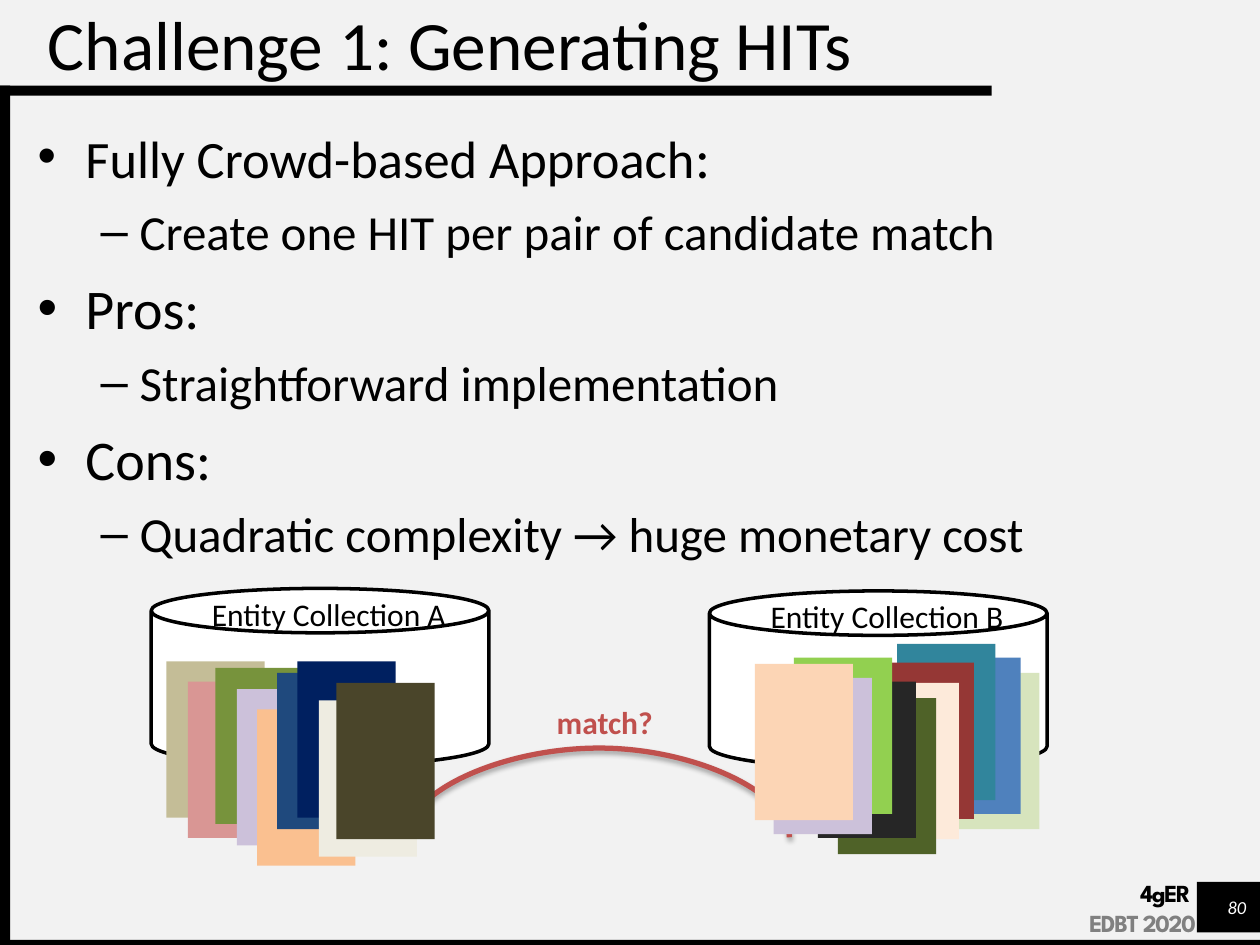
from dataclasses import dataclass

from lxml.etree import SubElement
from pptx import Presentation
from pptx.dml.color import RGBColor
from pptx.enum.shapes import MSO_CONNECTOR as Connector, MSO_SHAPE as Preset
from pptx.enum.text import MSO_ANCHOR as Anchor, MSO_AUTO_SIZE as AutoSize, PP_ALIGN as Align
from pptx.oxml.ns import qn
from pptx.util import Inches, Pt

# The page is a grid of 10 columns by 7.5 rows
COLUMNS, ROWS = 10, 7.5
CELL = Inches(1)
BLACK, WHITE, RED = "000000", "FFFFFF", "C0504D"


@dataclass
class Area:
    col: float
    row: float
    cols: float
    rows: float

    def lengths(self) -> list[int]:
        return [round(n * CELL) for n in (self.col, self.row, self.cols, self.rows)]


@dataclass
class Card:
    col: float
    row: float
    fill: str


@dataclass
class Level:
    bullet: str
    margin: float
    indent: float


LEVELS = [Level("•", 0.38, -0.38), Level("–", 0.81, -0.31)]

# Level of each point, then its spans of text and size
POINTS = [
    (0, [("Fully Crowd-based Approach", 30), (":", 32)]),
    (1, [("Create one HIT per pair of candidate match", 28)]),
    (0, [("Pros:", 32)]),
    (1, [("Straightforward implementation", 28)]),
    (0, [("Cons:", 32)]),
    (1, [("Quadratic complexity → huge monetary cost", 28)]),
]

BARS = [
    Area(9.5, 7, 0.5, 0.4),
    Area(0, 7.46, COLUMNS, 0.08),
    Area(0, 0.68, 7.87, 0.08),
    Area(0, 0.68, 0.08, ROWS - 0.68),
]

# Name, left and top of each collection
COLLECTIONS = [("Entity Collection A", 1.2, 4.67), ("Entity Collection B", 5.63, 4.69)]

CARDS = [
    Card(1.32, 5.25, "C4BD97"), Card(1.49, 5.41, "D99694"), Card(1.71, 5.3, "77933C"),
    Card(1.88, 5.47, "CCC1DA"), Card(2.04, 5.63, "FAC090"), Card(2.2, 5.34, "1F497D"),
    Card(2.36, 5.25, "002060"), Card(2.53, 5.56, "EEECE1"), Card(2.67, 5.42, "4A452A"),
    Card(7.47, 5.34, "D7E4BD"), Card(7.32, 5.22, "4F81BD"), Card(7.12, 5.11, "31859C"),
    Card(6.95, 5.26, "953735"), Card(6.83, 5.42, "FDEADA"), Card(6.65, 5.54, "4F6228"),
    Card(6.49, 5.41, "262626"), Card(6.3, 5.22, "92D050"), Card(6.14, 5.38, "CCC1DA"),
    Card(5.99, 5.27, "FCD5B5"),
]


def colour(value: str) -> RGBColor:
    return RGBColor.from_string(value)


def assign(target, values: dict) -> None:
    for name, value in values.items():
        setattr(target, name, value)


def add_span(para, text: str, size: float, fill: str = BLACK, **formats):
    span = para.add_run()
    span.text = text
    assign(span.font, {"name": "Calibri", "size": Pt(size), **formats})
    span.font.color.rgb = colour(fill)
    return span


def add_box(page, area: Area, **formats):
    frame = page.shapes.add_textbox(*area.lengths()).text_frame
    assign(frame, {"word_wrap": True, **formats})
    return frame


def add_block(page, preset, area: Area, fill: str, outline: str | None = None) -> None:
    block = page.shapes.add_shape(preset, *area.lengths())
    block.shadow.inherit = False
    block.fill.solid()
    block.fill.fore_color.rgb = colour(fill)
    if outline:
        block.line.color.rgb = colour(outline)
        block.line.width = Pt(2)
    else:
        block.line.fill.background()


def add_label(page, area: Area, text: str, align, fill: str = BLACK, bold: bool = False) -> None:
    para = add_box(page, area).paragraphs[0]
    para.alignment = align
    add_span(para, text, 18, fill, bold=bold)


def add_points(page, area: Area) -> None:
    frame = add_box(page, area)
    for index, (depth, spans) in enumerate(POINTS):
        para = frame.add_paragraph() if index else frame.paragraphs[0]
        level = LEVELS[depth]
        props = para._p.get_or_add_pPr()
        props.set("marL", str(Inches(level.margin)))
        props.set("indent", str(Inches(level.indent)))
        if index:
            para.space_before = Pt(0.2 * spans[0][1] * 1.2)
        SubElement(props, qn("a:buFont")).set("typeface", "Arial")
        SubElement(props, qn("a:buChar")).set("char", level.bullet)
        for text, size in spans:
            add_span(para, text, size)


def add_arc(page) -> None:
    # A narrow connector turned a quarter, bulging 0.71 rows upwards
    width, bulge = 0.03, 0.71
    ends = [round(n * CELL) for n in (4.74 + width, 5.12, 4.74, 8.14)]
    arc = page.shapes.add_connector(Connector.CURVE, *ends)
    arc.line.color.rgb = colour(RED)
    arc.line.width = Pt(3)
    props = arc._element.spPr
    props.find(qn("a:xfrm")).set("rot", "5400000")
    guide = SubElement(props.find(qn("a:prstGeom")).get_or_add_avLst(), qn("a:gd"))
    guide.set("name", "adj1")
    guide.set("fmla", f"val {round(bulge / width * 100000)}")
    shadow = SubElement(SubElement(props, qn("a:effectLst")), qn("a:outerShdw"))
    for name, value in {"blurRad": Pt(3.1), "dist": Pt(1.8), "dir": 5400000, "rotWithShape": 0}.items():
        shadow.set(name, str(value))
    tint = SubElement(shadow, qn("a:srgbClr"))
    tint.set("val", BLACK)
    SubElement(tint, qn("a:alpha")).set("val", "35000")


def add_footer(page) -> None:
    margins = dict.fromkeys(("margin_left", "margin_top", "margin_right", "margin_bottom"), 0)
    number = add_box(page, Area(9.5, 7.05, 0.39, 0.3), vertical_anchor=Anchor.MIDDLE, **margins)
    number.paragraphs[0].alignment = Align.RIGHT
    add_span(number.paragraphs[0], "80", 10.5, WHITE, italic=True)

    event = add_box(page, Area(8.3, 6.94, 1.19, 0.5), **{**margins, "margin_top": Inches(0.03)})
    lines = [(event.paragraphs[0], "4gER ", BLACK), (event.add_paragraph(), "EDBT 2020", "808080")]
    for para, text, fill in lines:
        para.alignment = Align.RIGHT
        span = add_span(para, text, 14, fill, name="League Spartan", bold=True)
        span.font._element.set("spc", "-80")


def main() -> None:
    deck = Presentation()
    assign(deck, {"slide_width": COLUMNS * CELL, "slide_height": round(ROWS * CELL)})
    page = deck.slides.add_slide(deck.slide_layouts[5])
    page.background.fill.solid()
    page.background.fill.fore_color.rgb = colour("F2F2F2")

    # Title
    title = page.shapes.title
    assign(title, dict(zip(("left", "top", "width", "height"), Area(0.28, 0, 9.72, 0.68).lengths())))
    assign(title.text_frame, {"vertical_anchor": Anchor.MIDDLE, "auto_size": AutoSize.NONE})
    title.text_frame.paragraphs[0].alignment = Align.LEFT
    add_span(title.text_frame.paragraphs[0], "Challenge 1: Generating HITs", 39.6)

    # Frame, footer and body
    for bar in BARS:
        add_block(page, Preset.RECTANGLE, bar, BLACK)
    add_footer(page)
    add_arc(page)
    add_points(page, Area(0.2, 0.92, 9.72, 6.22))

    # Collections and their entities
    for name, col, row in COLLECTIONS:
        add_block(page, Preset.CAN, Area(col, row, 2.68, 1.41), WHITE, BLACK)
        add_label(page, Area(col + 0.3, row, 2.22, 0.4), name, Align.CENTER)
    add_label(page, Area(4.32, 5.53, 0.98, 0.4), "match?", Align.LEFT, RED, True)
    for card in CARDS:
        add_block(page, Preset.RECTANGLE, Area(card.col, card.row, 0.78, 1.24), card.fill)

    deck.save("out.pptx")


if __name__ == "__main__":
    main()
